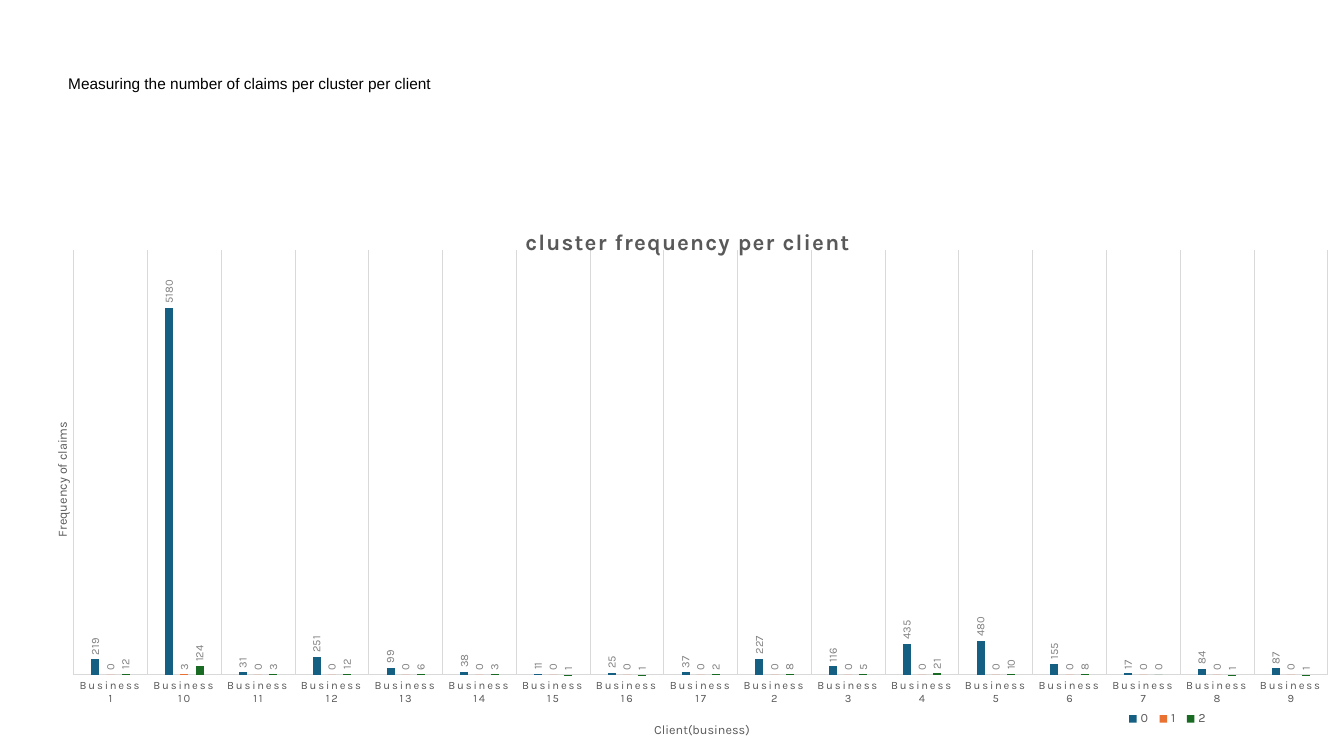
import pptx
import pptx.chart.data
import pptx.dml.color
import pptx.enum.chart
import pptx.enum.text
import pptx.oxml
import pptx.oxml.ns
import pptx.util

RGBColor = pptx.dml.color.RGBColor
Cm, Pt = pptx.util.Cm, pptx.util.Pt
qn = pptx.oxml.ns.qn

BLACK = RGBColor(0x00, 0x00, 0x00)
DARK_GREY = RGBColor(0x59, 0x59, 0x59)
MID_GREY = RGBColor(0x80, 0x80, 0x80)
LIGHT_GREY = RGBColor(0xD9, 0xD9, 0xD9)
BLUE = RGBColor(0x15, 0x60, 0x82)
ORANGE = RGBColor(0xE9, 0x71, 0x32)
GREEN = RGBColor(0x19, 0x6B, 0x24)

# Clients in alphabetical order, claims per cluster
CLIENTS = sorted(f"Business {number}" for number in range(1, 18))
CLUSTERS = {
    "0": (BLUE, [219, 5180, 31, 251, 99, 38, 11, 25, 37, 227, 116, 435, 480, 155, 17, 84, 87]),
    "1": (ORANGE, [0, 3] + [0] * 15),
    "2": (GREEN, [12, 124, 3, 12, 6, 3, 1, 1, 2, 8, 5, 21, 10, 8, 0, 1, 1]),
}


def apply(target, values):
    for name, value in values.items():
        setattr(target, name, value)


def place(parent, inner=False, **fractions):
    """Give a chart part a fixed place, in fractions of the chart."""
    for previous in parent.findall(qn("c:layout")):
        parent.remove(previous)
    settings = {"layoutTarget": "inner"} if inner else {}
    settings.update({f"{side}Mode": "edge" for side in "xy"}, **fractions)
    tags = "".join(f'<c:{tag} val="{value}"/>' for tag, value in settings.items())
    layout = pptx.oxml.parse_xml(
        f"<c:layout {pptx.oxml.ns.nsdecls('c')}><c:manualLayout>{tags}</c:manualLayout></c:layout>")
    overlay = parent.find(qn("c:overlay"))
    if overlay is None:
        parent.insert(0, layout)
    else:
        overlay.addprevious(layout)


class ClaimsSlide:
    heading_font = "Arial"
    chart_font = "Karla"

    def __init__(self, deck):
        self.slide = deck.slides.add_slide(deck.slide_layouts[6])

    def style(self, font, size, color=DARK_GREY, bold=False, name=None):
        apply(font, {"name": name or self.chart_font, "size": Pt(size), "bold": bold})
        font.color.rgb = color

    def heading(self, text, left, top, width, height):
        frame = self.slide.shapes.add_textbox(left, top, width, height).text_frame
        apply(frame, {"word_wrap": True, "vertical_anchor": pptx.enum.text.MSO_ANCHOR.MIDDLE})
        paragraph = frame.paragraphs[0]
        paragraph.line_spacing = 0.9
        run = paragraph.add_run()
        run.text = text
        self.style(run.font, 11, BLACK, name=self.heading_font)

    def chart_title(self, owner, text, size, x, y, bold=False):
        title = owner.chart_title if hasattr(owner, "chart_title") else owner.axis_title
        title.text_frame.text = text
        self.style(title.text_frame.paragraphs[0].runs[0].font, size, bold=bold)
        place(title.element, x=x, y=y)

    def claims_chart(self, left, top, width, height):
        claims = pptx.chart.data.CategoryChartData()
        claims.categories = CLIENTS
        for cluster, (_, counts) in CLUSTERS.items():
            claims.add_series(cluster, counts)
        chart = self.slide.shapes.add_chart(
            pptx.enum.chart.XL_CHART_TYPE.COLUMN_CLUSTERED, left, top, width, height, claims).chart
        self.style(chart.font, 10, BLACK)

        # Columns and their value labels
        columns = chart.plots[0]
        apply(columns, {"gap_width": 444, "overlap": -90, "vary_by_categories": False})
        for series, (color, _) in zip(columns.series, CLUSTERS.values()):
            series.format.fill.solid()
            series.format.fill.fore_color.rgb = color
            apply(series.data_labels, {
                "show_value": True,
                "position": pptx.enum.chart.XL_LABEL_POSITION.OUTSIDE_END})
            self.style(series.data_labels.font, 8, MID_GREY)

        # Axes
        clients, frequency = chart.category_axis, chart.value_axis
        no_tick = pptx.enum.chart.XL_TICK_MARK.NONE
        apply(clients, {"major_tick_mark": no_tick, "minor_tick_mark": no_tick,
                        "has_major_gridlines": True})
        for line in (clients.format.line, clients.major_gridlines.format.line):
            line.width = Pt(0.75)
            line.color.rgb = LIGHT_GREY
        self.style(clients.tick_labels.font, 8)
        apply(frequency, {"minimum_scale": 0, "maximum_scale": 6000,
                          "has_major_gridlines": False, "visible": False})

        # Titles and legend
        self.chart_title(chart, "cluster frequency per client", 16, 0.37, 0.04, bold=True)
        self.chart_title(clients, "Client(business)", 9, 0.47, 0.95)
        self.chart_title(frequency, "Frequency of claims", 9, 0.01, 0.4)
        chart.has_legend = True
        apply(chart.legend, {"position": pptx.enum.chart.XL_LEGEND_POSITION.TOP,
                             "include_in_layout": False})
        self.style(chart.legend.font, 9)
        place(chart.legend._element, x=0.83, y=0.93, w=0.07, h=0.04)
        plot_area = chart.element.xpath(".//c:plotArea")[0]
        place(plot_area, inner=True, x=0.027, y=0.089, w=0.961, h=0.78)

        # Letter spacing and upright text
        for query, name, value in (
            ("./c:chart/c:title//a:rPr", "spc", "100"),
            (".//c:catAx/c:txPr//a:defRPr", "spc", "120"),
            (".//c:dLbls/c:txPr/a:bodyPr", "rot", "-5400000"),
            (".//c:valAx/c:title//a:bodyPr", "rot", "-5400000"),
        ):
            for element in chart.element.xpath(query):
                element.set(name, value)


def main():
    deck = pptx.Presentation()
    apply(deck, {"slide_width": Cm(33.87), "slide_height": Cm(19.05)})
    page = ClaimsSlide(deck)
    page.heading("Measuring the number of claims per cluster per client",
                 Cm(1.47), Cm(0.28), Cm(29.21), Cm(3.68))
    page.claims_chart(Cm(0.97), Cm(5.08), Cm(32.89), Cm(13.72))
    deck.save("out.pptx")


if __name__ == "__main__":
    main()
